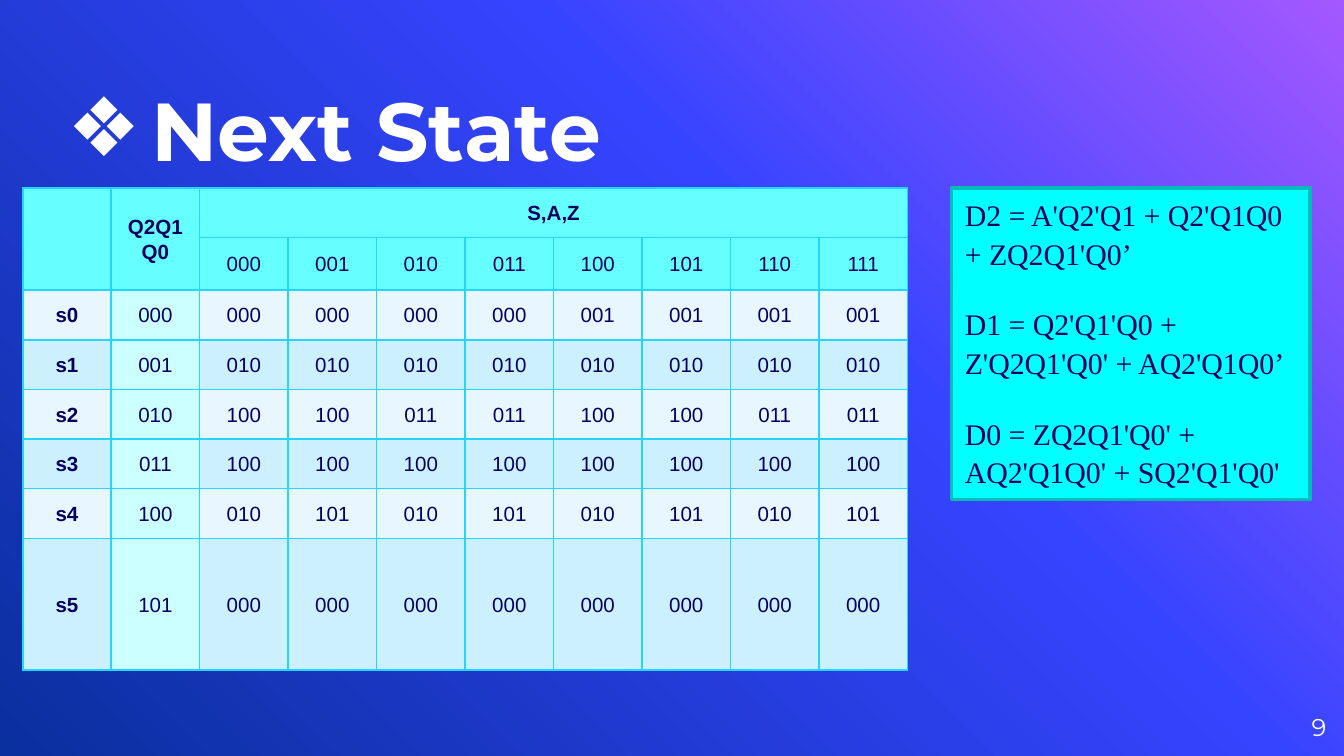
import pptx
import pptx.dml.color
import pptx.enum.shapes
import pptx.enum.text
import pptx.oxml
import pptx.oxml.ns
import pptx.util
import copy
import lxml.etree

Pt = pptx.util.Pt
qn = pptx.oxml.ns.qn
ALIGN = pptx.enum.text.PP_ALIGN
ANCHOR = pptx.enum.text.MSO_ANCHOR

COLORS = {
    "white": "FFFFFF", "ink": "050060", "border": "24D6FF",
    "header": "66FFFF", "state_code": "CCFFFF",
    "odd_row": "E8F7FF", "even_row": "CDF0FF",
    "panel": "00FFFF", "panel_line": "00BDBD",
}
BACKGROUND_STOPS = [(0, "A458FF"), (0.39, "3544FF"), (1, "0A2F9E")]

INPUTS = ["000", "001", "010", "011", "100", "101", "110", "111"]
NEXT_STATES = [
    ["000"] * 4 + ["001"] * 4,
    ["010"] * 8,
    ["100", "100", "011", "011"] * 2,
    ["100"] * 8,
    ["010", "101"] * 4,
    ["000"] * 8,
]
ROW_HEIGHTS = [26.6, 28.1] + [26.6] * 5 + [70.5]
COLUMN_WIDTH = 47.4
EQUATIONS = [
    "D2 = A'Q2'Q1 + Q2'Q1Q0 + ZQ2Q1'Q0’",
    "D1 = Q2'Q1'Q0 + Z'Q2Q1'Q0' + AQ2'Q1Q0’",
    "D0 = ZQ2Q1'Q0' + AQ2'Q1Q0' + SQ2'Q1'Q0'",
]


def rgb(name):
    return pptx.dml.color.RGBColor.from_string(COLORS[name])


class SlideBuilder:
    heading_font = "Montserrat"
    table_font = "Arial"
    equation_font = "Times New Roman"
    line_spacing = 1.07

    def __init__(self, slide):
        self.slide = slide

    def background(self, stops):
        fill = self.slide.background.fill
        fill.gradient()
        fill.gradient_angle = 225
        stop_list = self.slide.element.find(".//" + qn("a:gsLst"))
        stop_list.append(copy.deepcopy(stop_list[-1]))
        for stop, (position, color) in zip(fill.gradient_stops, stops):
            stop.position = position
            stop.color.rgb = pptx.dml.color.RGBColor.from_string(color)

    def add_run(self, para, text, font, size, color, bold=False):
        span = para.add_run()
        span.text = text
        span.font.name = font
        span.font.size = Pt(size)
        span.font.bold = bold
        span.font.color.rgb = rgb(color)

    def text_box(self, bounds, text, size, anchor, align=ALIGN.LEFT, bold=False):
        box = self.slide.shapes.add_textbox(*map(Pt, bounds))
        frame = box.text_frame
        frame.word_wrap = True
        frame.vertical_anchor = anchor
        frame.margin_left = frame.margin_right = 0
        frame.margin_top = frame.margin_bottom = 0
        para = frame.paragraphs[0]
        para.alignment = align
        self.add_run(para, text, self.heading_font, size, "white", bold)
        return para

    def bullet(self, para, character, indent):
        properties = para._p.get_or_add_pPr()
        properties.set("marL", str(Pt(indent)))
        properties.set("indent", str(-Pt(indent)))
        color = lxml.etree.SubElement(properties, qn("a:buClr"))
        lxml.etree.SubElement(color, qn("a:srgbClr"), val=COLORS["white"])
        lxml.etree.SubElement(properties, qn("a:buFont"), typeface=self.table_font)
        lxml.etree.SubElement(properties, qn("a:buChar"), char=character)

    def cell(self, cell, text, fill, bold=False):
        cell.margin_left = cell.margin_right = Pt(5)
        cell.margin_top = cell.margin_bottom = 0
        cell.vertical_anchor = ANCHOR.MIDDLE
        properties = cell._tc.get_or_add_tcPr()
        for side in ("lnL", "lnR", "lnT", "lnB"):
            line = lxml.etree.SubElement(properties, qn("a:" + side), w=str(Pt(1)))
            solid = lxml.etree.SubElement(line, qn("a:solidFill"))
            lxml.etree.SubElement(solid, qn("a:srgbClr"), val=COLORS["border"])
        cell.fill.solid()
        cell.fill.fore_color.rgb = rgb(fill)
        if text:
            para = cell.text_frame.paragraphs[0]
            para.alignment = ALIGN.CENTER
            para.line_spacing = self.line_spacing
            self.add_run(para, text, self.table_font, 11, "ink", bold)

    def state_table(self, left, top):
        rows = [["", "Q2Q1Q0", "S,A,Z"] + [""] * 7, ["", ""] + INPUTS]
        rows += [[f"s{index}", f"{index:03b}"] + states
                 for index, states in enumerate(NEXT_STATES)]
        columns = len(rows[0])
        table = self.slide.shapes.add_table(
            len(rows), columns, Pt(left), Pt(top),
            Pt(COLUMN_WIDTH * columns), Pt(sum(ROW_HEIGHTS))).table
        table.first_row = table.horz_banding = False
        for column in table.columns:
            column.width = Pt(COLUMN_WIDTH)
        for row_index, texts in enumerate(rows):
            table.rows[row_index].height = Pt(ROW_HEIGHTS[row_index])
            for column_index, text in enumerate(texts):
                if row_index < 2:
                    fill = "header"
                elif column_index == 1:
                    fill = "state_code"
                else:
                    fill = "even_row" if row_index % 2 else "odd_row"
                bold = row_index == 0 or column_index == 0
                self.cell(table.cell(row_index, column_index), text, fill, bold)
        for column_index in (0, 1):
            table.cell(0, column_index).merge(table.cell(1, column_index))
        table.cell(0, 2).merge(table.cell(0, columns - 1))

    def equation_panel(self, bounds, equations):
        panel = self.slide.shapes.add_shape(
            pptx.enum.shapes.MSO_SHAPE.RECTANGLE, *map(Pt, bounds))
        panel.shadow.inherit = False
        panel.fill.solid()
        panel.fill.fore_color.rgb = rgb("panel")
        panel.line.color.rgb = rgb("panel_line")
        panel.line.width = Pt(2)
        frame = panel.text_frame
        frame.word_wrap = True
        frame.vertical_anchor = ANCHOR.TOP
        frame.auto_size = pptx.enum.text.MSO_AUTO_SIZE.SHAPE_TO_FIT_TEXT
        for index, equation in enumerate(equations):
            para = frame.add_paragraph() if index else frame.paragraphs[0]
            para.alignment = ALIGN.LEFT
            para.line_spacing = self.line_spacing
            para.space_after = Pt(8 if index == len(equations) - 1 else 17.5)
            self.add_run(para, equation, self.equation_font, 16, "ink")


def main():
    deck = pptx.Presentation()
    deck.slide_width, deck.slide_height = Pt(720), Pt(405)
    page = SlideBuilder(deck.slides.add_slide(deck.slide_layouts[6]))
    page.background(BACKGROUND_STOPS)
    title = page.text_box((36, 27.4, 504.7, 67.7), "Next State", 44,
                          ANCHOR.BOTTOM, bold=True)
    page.bullet(title, "❖", 45)
    page.text_box((667.4, 373.7, 43.2, 31), "9", 13, ANCHOR.MIDDLE, ALIGN.RIGHT)
    page.state_table(12.2, 100.6)
    page.equation_panel((509.8, 100.6, 192.2, 167), EQUATIONS)
    deck.save("out.pptx")


if __name__ == "__main__":
    main()
